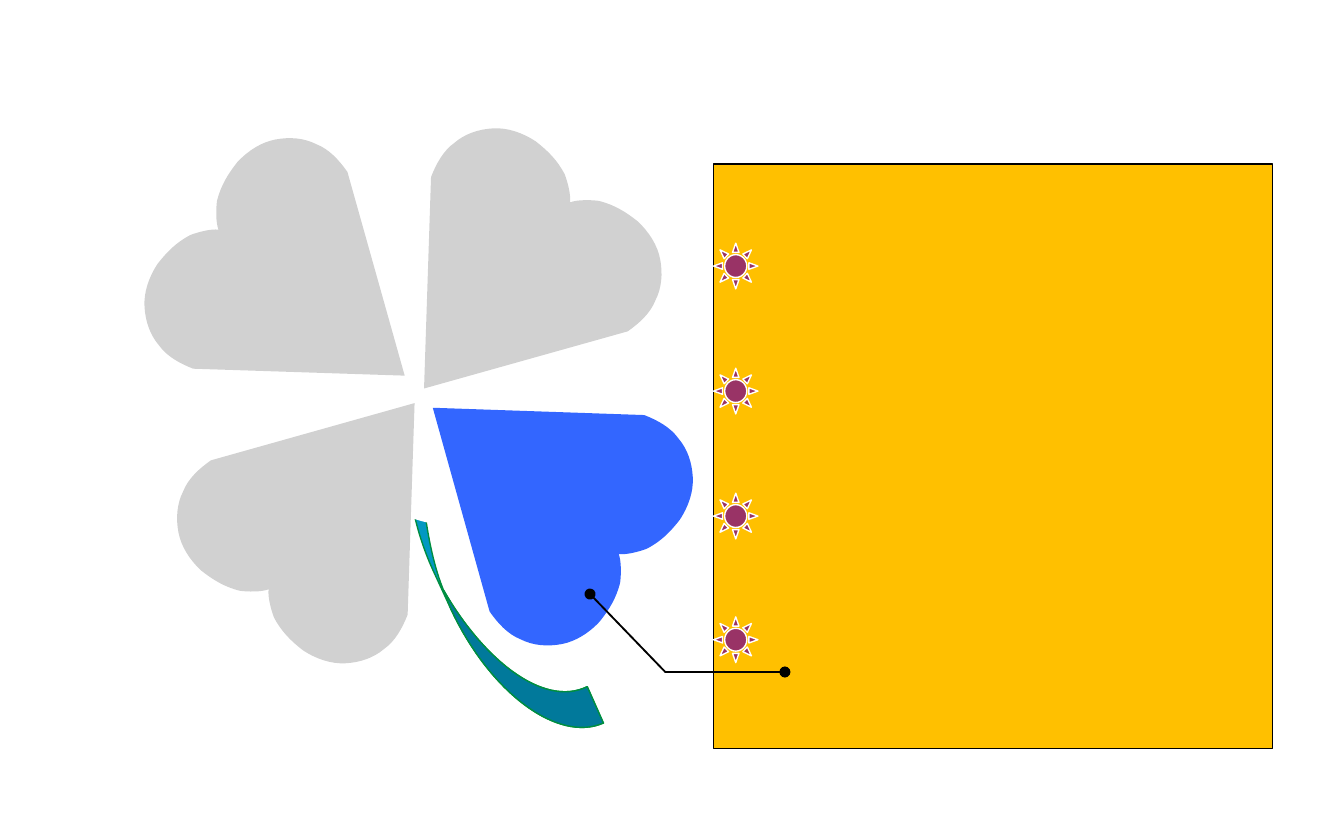
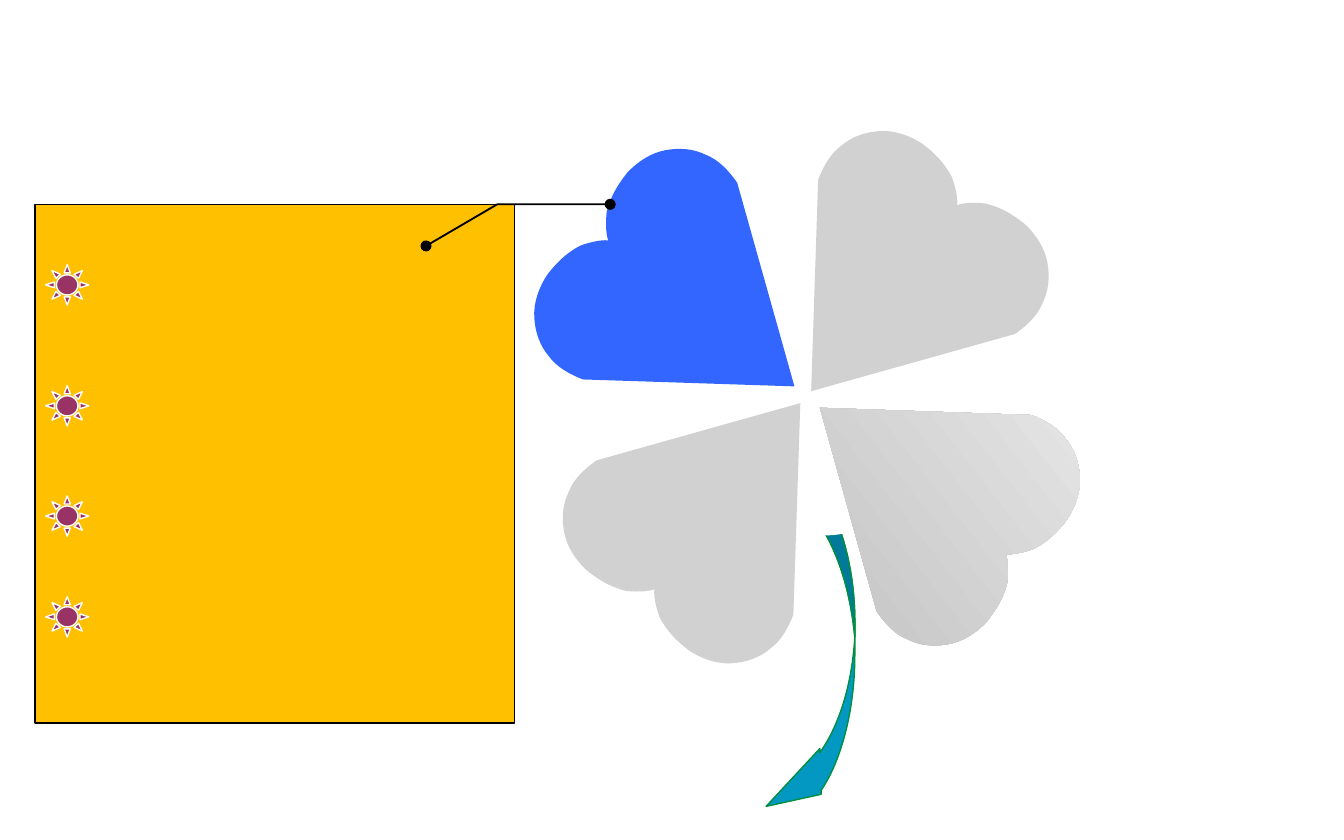
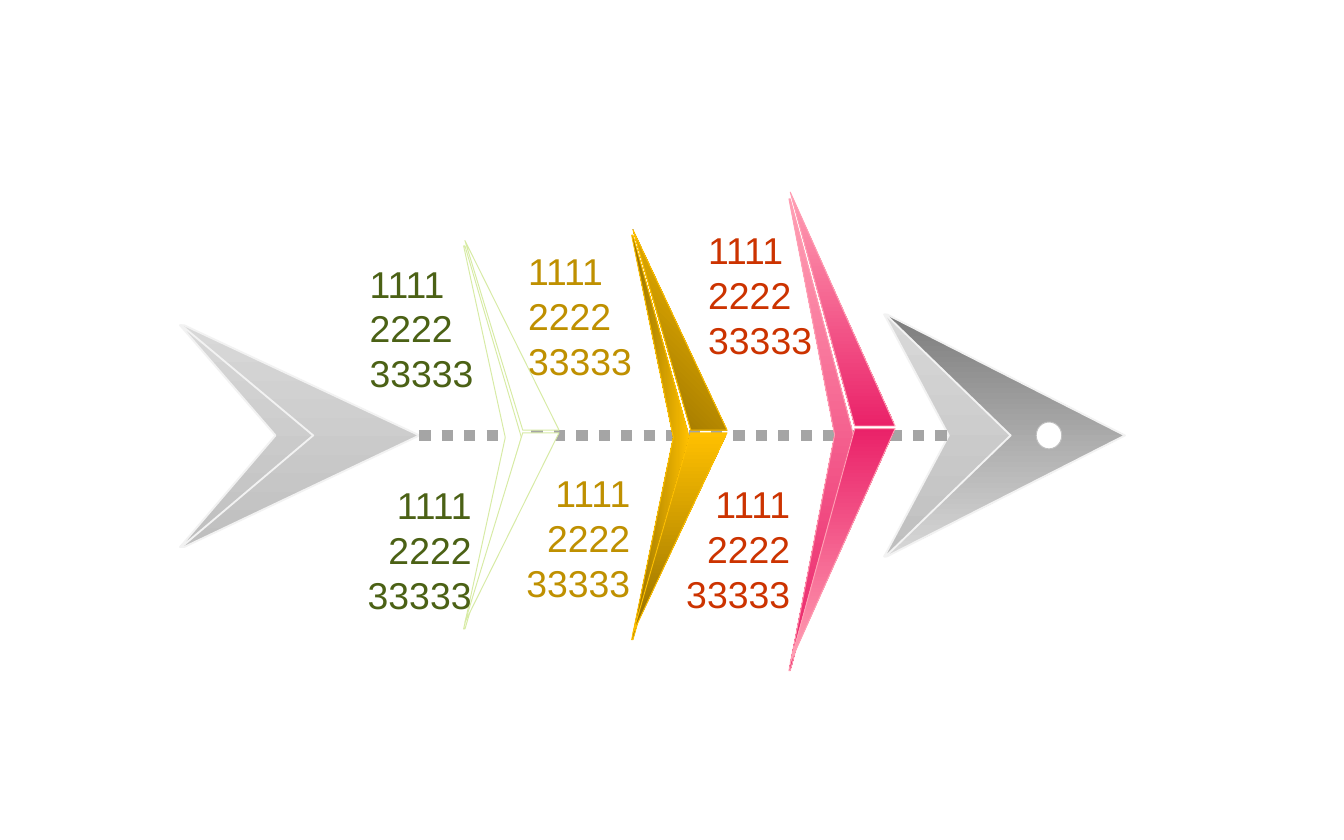
from collections.abc import Sequence
from dataclasses import dataclass
from itertools import chain
from typing import Optional, Union

from lxml import etree
from pptx import Presentation
from pptx import util as u
from pptx.dml.color import RGBColor
from pptx.enum import dml, shapes, text
from pptx.oxml.ns import qn
from pptx.shapes.autoshape import Shape
from pptx.shapes.shapetree import GroupShapes, SlideShapes
from pptx.slide import Slide
from pptx.util import Inches

FONT = "Arial"
WHITE = RGBColor(0xFF, 0xFF, 0xFF)
BLACK = RGBColor(0x00, 0x00, 0x00)
LEAF_GREY = RGBColor(0xD1, 0xD1, 0xD1)
LEAF_BLUE = RGBColor(0x33, 0x66, 0xFF)
LEAF_SHADE = RGBColor(0xBB, 0xBB, 0xBB)
LEAF_LIGHT = RGBColor(0xED, 0xED, 0xED)
STEM = RGBColor(0x02, 0x98, 0xC2)
STEM_EDGE = RGBColor(0x00, 0x8E, 0x40)
AMBER = RGBColor(0xFF, 0xC0, 0x00)
AMBER_DARK = RGBColor(0x94, 0x6F, 0x00)
AMBER_TEXT = RGBColor(0xBF, 0x90, 0x00)
PLUM = RGBColor(0x99, 0x33, 0x66)
PINK_LIGHT = RGBColor(0xFF, 0x9F, 0xB4)
PINK = RGBColor(0xEA, 0x22, 0x69)
RED_TEXT = RGBColor(0xCC, 0x33, 0x00)
LIME_EDGE = RGBColor(0xD7, 0xEB, 0xA4)
GREEN_TEXT = RGBColor(0x4B, 0x61, 0x15)
FISH_DARK = RGBColor(0x7D, 0x7D, 0x7D)
FISH_LIGHT = RGBColor(0xD8, 0xD8, 0xD8)
FISH_MID = RGBColor(0xBF, 0xBF, 0xBF)
FISH_EDGE = RGBColor(0xF2, 0xF2, 0xF2)
SPINE = RGBColor(0xA5, 0xA5, 0xA5)


@dataclass(frozen=True)
class Gradient:
    """Linear gradient; the angle runs clockwise from left-to-right."""
    start: RGBColor
    end: RGBColor
    angle: int = 90


@dataclass(frozen=True)
class Edge:
    color: RGBColor
    width: float


Fill = Union[RGBColor, Gradient]
Tree = Union[SlideShapes, GroupShapes]
# A step of two numbers is a line to that point, one of six a cubic curve.
Outline = Sequence[tuple[float, ...]]


@dataclass(frozen=True)
class Leaf:
    center: tuple[float, float]
    rotation: float
    fill: Fill = LEAF_GREY


@dataclass(frozen=True)
class Panel:
    left: float
    top: float
    width: float
    height: float
    sun_left: float
    sun_size: tuple[float, float]
    sun_tops: Sequence[float]


@dataclass(frozen=True)
class Clover:
    stem: Outline
    stem_shade: Outline
    hub: tuple[float, float]
    leaves: Sequence[Leaf]
    panel: Panel
    callout: Outline


@dataclass(frozen=True)
class Fin:
    """Offsets inner, outer, heel and toe are measured from the left edge."""
    left: float
    rib_top: float
    rib_bottom: float
    blade_top: float
    blade_height: float
    inner: float
    outer: float
    heel: float
    toe: float
    fills: tuple[Fill, Fill, Fill]
    edge: RGBColor
    text_color: RGBColor
    upper_text: tuple[float, float]
    lower_text: tuple[float, float]


# Left lobe of an upright leaf around its centre, from notch to flank.
NOTCH = (0, -0.78)
LOBE = [
    (-0.03, -0.83), (-0.11, -0.89), (-0.16, -0.92),
    (-0.27, -0.97), (-0.37, -0.98), (-0.48, -0.98),
    (-0.6, -0.97), (-0.71, -0.93), (-0.79, -0.86),
    (-0.87, -0.79), (-0.93, -0.7), (-0.95, -0.6),
    (-0.98, -0.5), (-0.96, -0.39), (-0.93, -0.29),
]
LEAF_TIP = (0, 0.98)

CLOVERS = [
    Clover(
        stem=[(4.49, 5.38), (4.15, 5.53, 3.64, 5.15, 3.35, 4.52), (3.23, 4.26),
              (3.1, 3.98, 3.03, 3.67, 3.04, 3.41), (3.18, 2.93), (3.38, 2.98),
              (3.32, 3.24), (3.12, 3.21), (3.12, 3.5, 3.16, 4.05, 3.3, 4.39),
              (3.59, 4.9, 4.04, 5.27, 4.37, 5.11)],
        stem_shade=[(4.49, 5.38), (4.15, 5.53, 3.64, 5.15, 3.35, 4.52),
                    (3.3, 4.39), (3.59, 4.9, 4.04, 5.27, 4.37, 5.11)],
        hub=(2.51, 2.05),
        leaves=[Leaf((3.76, 2.12), 38.1), Leaf((2.48, 3.77), 218.1),
                Leaf((2.24, 2.19), 308.1), Leaf((3.99, 3.64), 128.2, LEAF_BLUE)],
        panel=Panel(5.31, 1.22, 4.16, 4.35, 5.31, (0.33, 0.34),
                    [1.81, 2.74, 3.67, 4.59]),
        callout=[(4.39, 4.42), (4.95, 5), (5.84, 5)],
    ),
    Clover(
        stem=[(5.67, 3.36), (6.04, 3.35, 6.35, 3.91, 6.36, 4.6), (6.36, 4.88),
              (6.36, 5.28, 6.26, 5.66, 6.11, 5.88), (6.11, 5.91), (5.7, 6),
              (6.1, 5.57), (6.1, 5.6), (6.25, 5.39, 6.34, 5.08, 6.36, 4.74),
              (6.3, 4.1, 6.02, 3.62, 5.67, 3.64)],
        stem_shade=[(5.67, 3.36), (6.04, 3.35, 6.35, 3.91, 6.36, 4.6),
                    (6.36, 4.74), (6.3, 4.1, 6.02, 3.62, 5.67, 3.64)],
        hub=(5.31, 2.13),
        leaves=[Leaf((6.64, 2.14), 38.1), Leaf((5.35, 3.77), 218.1),
                Leaf((5.14, 2.27), 308.1, LEAF_BLUE),
                Leaf((6.87, 3.64), 128.2, Gradient(LEAF_SHADE, LEAF_LIGHT, 322))],
        panel=Panel(0.26, 1.52, 3.57, 3.86, 0.34, (0.32, 0.3),
                    [1.97, 2.87, 3.69, 4.44]),
        callout=[(3.17, 1.83), (3.7, 1.52), (4.54, 1.52)],
    ),
]

FINS = [
    Fin(5.87, 1.48, 4.99, 1.43, 1.74, 0.34, 0.48, 0.49, 0.79,
        (Gradient(PINK_LIGHT, PINK), Gradient(PINK_LIGHT, PINK),
         Gradient(PINK_LIGHT, PINK, 270)),
        PINK_LIGHT, RED_TEXT, (5.16, 1.63), (4.99, 3.52)),
    Fin(4.7, 1.75, 4.76, 1.71, 1.49, 0.31, 0.43, 0.44, 0.71,
        (Gradient(AMBER_DARK, AMBER, 0), Gradient(AMBER_DARK, AMBER, 315),
         Gradient(AMBER_DARK, AMBER, 270)),
        AMBER, AMBER_TEXT, (3.82, 1.79), (3.8, 3.44)),
    Fin(3.45, 1.83, 4.68, 1.79, 1.41, 0.31, 0.43, 0.44, 0.71,
        (WHITE, WHITE, WHITE),
        LIME_EDGE, GREEN_TEXT, (2.64, 1.88), (2.62, 3.53)),
]
FIN_LINES = ["1111", "2222", "33333"]


def paint(shape: Shape, fill: Optional[Fill], edge: Optional[Edge]) -> Shape:
    shape.shadow.inherit = False
    if isinstance(fill, Gradient):
        shape.fill.gradient()
        shape.fill.gradient_angle = (360 - fill.angle) % 360
        for stop, color in zip(shape.fill.gradient_stops, (fill.start, fill.end)):
            stop.color.rgb = color
        shape._element.spPr.find(qn("a:gradFill")).set("rotWithShape", "0")
    elif fill is None:
        shape.fill.background()
    else:
        shape.fill.solid()
        shape.fill.fore_color.rgb = fill
    if edge is None:
        shape.line.fill.background()
    else:
        shape.line.color.rgb = edge.color
        shape.line.width = u.Pt(edge.width)
    return shape


def points_of(step: tuple[float, ...]) -> list[tuple[int, int]]:
    return [(Inches(x), Inches(y)) for x, y in zip(step[::2], step[1::2])]


def bend(shape: Shape, steps: Outline) -> None:
    """Join the three lines drawn for each curve step into one cubic curve."""
    lines = shape._element.spPr.iter(qn("a:lnTo"))
    remaining = iter(list(lines))
    for step in steps:
        group = [next(remaining) for _ in points_of(step)]
        if len(group) == 3:
            curve = etree.Element(qn("a:cubicBezTo"))
            group[0].addprevious(curve)
            for line in group:
                curve.append(line[0])
                line.getparent().remove(line)


def split_shade(shape: Shape) -> None:
    """Move the second contour into a darker layer of the same shape."""
    base = shape._element.spPr.find(".//" + qn("a:path"))
    second = base.findall(qn("a:moveTo"))[1]
    layer = etree.Element(qn("a:path"), w=base.get("w"), h=base.get("h"), fill="darkenLess")
    for part in [second, *second.itersiblings()]:
        layer.append(part)
    base.addnext(layer)


def add_outline(tree: Tree, outline: Outline, fill: Optional[Fill] = None,
                edge: Optional[Edge] = None, closed: bool = True,
                shade: Optional[Outline] = None) -> Shape:
    contours = [outline, shade] if shade else [outline]
    builder = tree.build_freeform(*points_of(outline[0])[0])
    for index, contour in enumerate(contours):
        if index:
            builder.move_to(*points_of(contour[0])[0])
        builder.add_line_segments(list(chain.from_iterable(map(points_of, contour[1:]))),
                                  close=closed)
    shape = builder.convert_to_shape()
    bend(shape, [step for contour in contours for step in contour[1:]])
    if shade:
        split_shade(shape)
    return paint(shape, fill, edge)


def add_preset(tree: Tree, kind: shapes.MSO_SHAPE, left: float, top: float,
               width: float, height: float, fill: Fill, edge: Edge) -> Shape:
    shape = tree.add_shape(kind, Inches(left), Inches(top), Inches(width), Inches(height))
    return paint(shape, fill, edge)


def add_text(slide: Slide, lines: Sequence[str], left: float, top: float, *,
             color: RGBColor, align: text.PP_ALIGN, size: float = 20) -> None:
    box = slide.shapes.add_textbox(Inches(left), Inches(top), Inches(1), Inches(1.11))
    frame = box.text_frame
    frame.word_wrap = False
    frame.auto_size = text.MSO_AUTO_SIZE.SHAPE_TO_FIT_TEXT
    frame.margin_left = frame.margin_right = Inches(0.11)
    frame.margin_top = frame.margin_bottom = Inches(0.06)
    for index, line in enumerate(lines):
        paragraph = frame.add_paragraph() if index else frame.paragraphs[0]
        paragraph.alignment = align
        run = paragraph.add_run()
        run.text = line
        run.font.name = FONT
        run.font.size = u.Pt(size)
        run.font.color.rgb = color


def add_leaf(slide: Slide, leaf: Leaf) -> None:
    center_x, center_y = leaf.center

    def place(*offsets: tuple[float, float]) -> tuple[float, ...]:
        return tuple(chain.from_iterable((center_x + x, center_y + y) for x, y in offsets))

    flank, *right_lobe = [(-x, y) for x, y in reversed([NOTCH, *LOBE])]
    heart = [place(NOTCH),
             *(place(*LOBE[i:i + 3]) for i in range(0, len(LOBE), 3)),
             place(LEAF_TIP), place(flank),
             *(place(*right_lobe[i:i + 3]) for i in range(0, len(right_lobe), 3))]
    add_outline(slide.shapes, heart, leaf.fill).rotation = leaf.rotation


def add_panel(slide: Slide, panel: Panel) -> None:
    group = slide.shapes.add_group_shape().shapes
    add_preset(group, shapes.MSO_SHAPE.RECTANGLE, panel.left, panel.top,
               panel.width, panel.height, AMBER, Edge(BLACK, 0.75))
    for top in panel.sun_tops:
        add_preset(group, shapes.MSO_SHAPE.SUN, panel.sun_left, top,
                   *panel.sun_size, PLUM, Edge(WHITE, 0.75))


def add_callout(slide: Slide, outline: Outline) -> None:
    callout = add_outline(slide.shapes, outline, edge=Edge(BLACK, 1), closed=False)
    line = callout._element.spPr.find(qn("a:ln"))
    for end in ("a:headEnd", "a:tailEnd"):
        etree.SubElement(line, qn(end), type="oval")


def add_clover_slide(slide: Slide, clover: Clover) -> None:
    add_outline(slide.shapes, clover.stem, STEM, Edge(STEM_EDGE, 0.75),
                shade=clover.stem_shade)
    add_preset(slide.shapes, shapes.MSO_SHAPE.OVAL, *clover.hub, 1.65, 1.84,
               WHITE, Edge(WHITE, 2))
    for leaf in clover.leaves:
        add_leaf(slide, leaf)
    add_panel(slide, clover.panel)
    add_callout(slide, clover.callout)


def chevron(left: float, top: float, bottom: float, inner: float, outer: float,
            middle: float = 3.24, blunt: float = 0.01) -> Outline:
    """Arrow outline pointing right, with its notch at inner and its tip at outer."""
    return [(left, top), (left + blunt, top), (outer, middle),
            (left + blunt, bottom), (left, bottom), (inner, middle)]


def add_fin(slide: Slide, fin: Fin) -> None:
    group = slide.shapes.add_group_shape().shapes
    edge = Edge(fin.edge, 0.5)
    rib_fill, upper_fill, lower_fill = fin.fills
    rib = chevron(fin.left, fin.rib_top, fin.rib_bottom, fin.left + fin.inner,
                  fin.left + fin.outer, (fin.rib_top + fin.rib_bottom) / 2)
    add_outline(group, rib, rib_fill, edge)
    upper_base = fin.blade_top + fin.blade_height
    lower_base = upper_base + 0.02
    for base, tip, fill in ((upper_base, fin.blade_top, upper_fill),
                            (lower_base, lower_base + fin.blade_height, lower_fill)):
        blade = [(fin.left + fin.heel, base), (fin.left + 0.01, tip),
                 (fin.left + fin.toe, base)]
        add_outline(group, blade, fill, edge)


def add_fish_slide(slide: Slide) -> None:
    edge = Edge(FISH_EDGE, 1)
    body = Gradient(FISH_LIGHT, FISH_MID)
    head = slide.shapes.add_group_shape().shapes
    add_outline(head, chevron(6.58, 2.34, 4.14, 7.32, 8.37, blunt=0.02),
                Gradient(FISH_DARK, FISH_LIGHT), edge)
    add_outline(head, chevron(6.58, 2.34, 4.14, 7.06, 7.52), body, edge)
    add_preset(head, shapes.MSO_SHAPE.OVAL, 7.71, 3.14, 0.19, 0.2, WHITE, Edge(FISH_MID, 0.5))
    tail = slide.shapes.add_group_shape().shapes
    add_outline(tail, chevron(1.34, 2.42, 4.07, 2.25, 3.12, blunt=0.03), body, edge)
    add_outline(tail, chevron(1.34, 2.42, 4.07, 2.05, 2.33), body, edge)

    spine = slide.shapes.add_connector(shapes.MSO_CONNECTOR.STRAIGHT, Inches(3.12),
                                       Inches(3.24), Inches(7.06), Inches(3.24))
    spine.line.color.rgb = SPINE
    spine.line.width = u.Pt(6)
    spine.line.dash_style = dml.MSO_LINE.ROUND_DOT
    etree.SubElement(spine._element.spPr, qn("a:effectLst"))

    for fin in FINS:
        add_fin(slide, fin)
    for fin in FINS:
        add_text(slide, FIN_LINES, *fin.upper_text, color=fin.text_color,
                 align=text.PP_ALIGN.LEFT)
        add_text(slide, FIN_LINES, *fin.lower_text, color=fin.text_color,
                 align=text.PP_ALIGN.RIGHT)


def main() -> None:
    presentation = Presentation()
    presentation.slide_width = Inches(10)
    presentation.slide_height = Inches(6.25)
    blank = presentation.slide_layouts[6]
    for clover in CLOVERS:
        add_clover_slide(presentation.slides.add_slide(blank), clover)
    add_fish_slide(presentation.slides.add_slide(blank))
    presentation.save("out.pptx")


if __name__ == "__main__":
    main()
